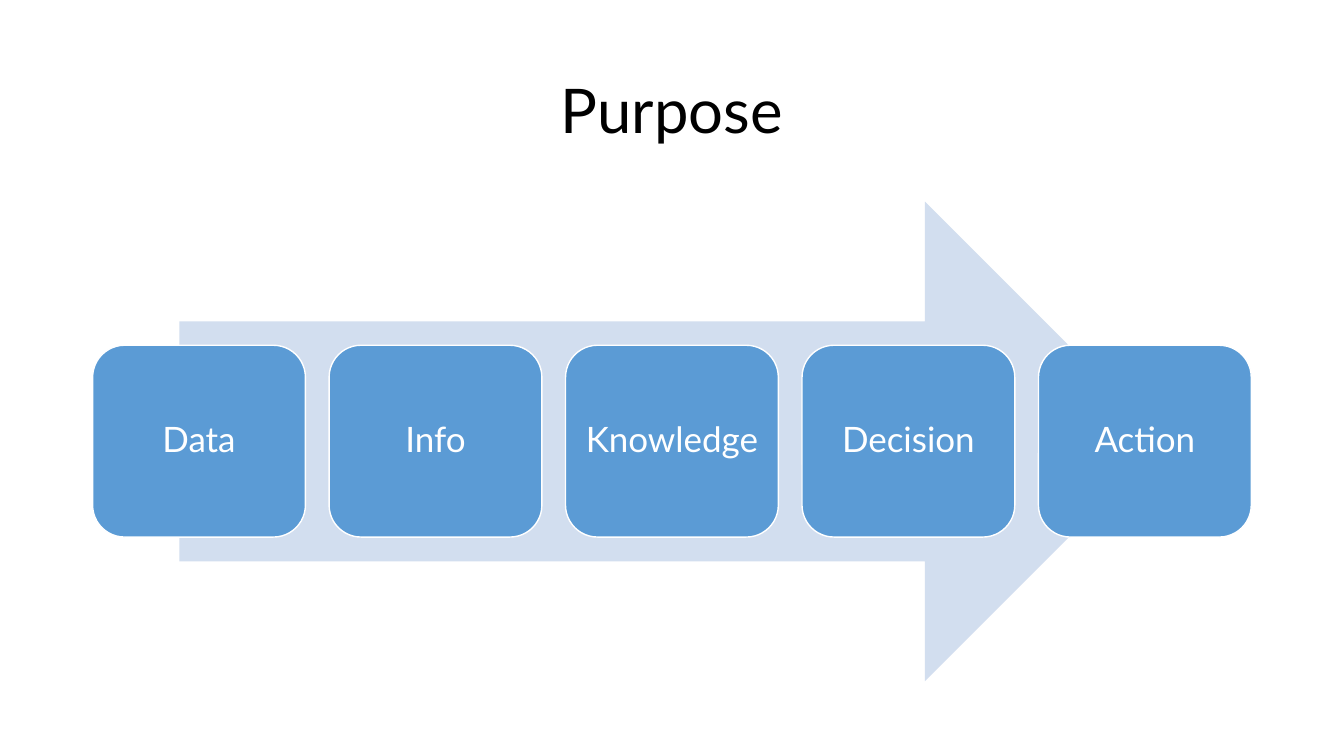
from pptx import Presentation
from pptx.dml.color import RGBColor
from pptx.enum.shapes import MSO_SHAPE
from pptx.enum.text import MSO_ANCHOR, PP_ALIGN
from pptx.util import Pt

COLORS = {"text": "000000", "arrow": "D2DEEF", "step": "5B9BD5", "white": "FFFFFF"}
STEPS = ["Data", "Info", "Knowledge", "Decision", "Action"]


class SlideBuilder:
    """Holds the style and the current slide."""

    font = "Lato"

    def __init__(self, page):
        self.page = page

    def color(self, name):
        return RGBColor.from_string(COLORS[name])

    def label(self, box, text, size, color):
        frame = box.text_frame
        frame.word_wrap = True
        frame.vertical_anchor = MSO_ANCHOR.MIDDLE
        para = frame.paragraphs[0]
        para.alignment = PP_ALIGN.CENTER
        para.line_spacing = 0.9
        span = para.add_run()
        span.text = text
        span.font.name = self.font
        span.font.size = Pt(size)
        span.font.color.rgb = self.color(color)

    def title(self, text, left, top, width, height):
        box = self.page.shapes.title
        box.left, box.top = Pt(left), Pt(top)
        box.width, box.height = Pt(width), Pt(height)
        self.label(box, text, 44, "text")

    def shape(self, kind, fill, left, top, width, height):
        box = self.page.shapes.add_shape(kind, Pt(left), Pt(top), Pt(width), Pt(height))
        box.shadow.inherit = False
        box.fill.solid()
        box.fill.fore_color.rgb = self.color(fill)
        box.line.fill.background()
        return box

    def arrow(self, left, top, width, height):
        self.shape(MSO_SHAPE.RIGHT_ARROW, "arrow", left, top, width, height)

    def step(self, text, left, top, width, height):
        box = self.shape(MSO_SHAPE.ROUNDED_RECTANGLE, "step", left, top, width, height)
        box.line.color.rgb = self.color("white")
        box.line.width = Pt(1)
        frame = box.text_frame
        frame.margin_left = frame.margin_right = Pt(7)
        frame.margin_top = frame.margin_bottom = Pt(7)
        self.label(box, text, 25, "white")


def main():
    deck = Presentation()
    deck.slide_width, deck.slide_height = Pt(960), Pt(540)
    title_only = deck.slide_layouts[5]
    builder = SlideBuilder(deck.slides.add_slide(title_only))

    # Title
    builder.title("Purpose", 66, 28.75, 828, 104.4)

    # Arrow behind the steps
    builder.arrow(128.1, 144, 703.8, 342.6)

    # Evenly spaced steps from data to action
    left, width, gap = 66.2, 152, 16.9
    for index, name in enumerate(STEPS):
        builder.step(name, left + index * (width + gap), 246.6, width, 137)

    deck.save("out.pptx")


if __name__ == "__main__":
    main()
